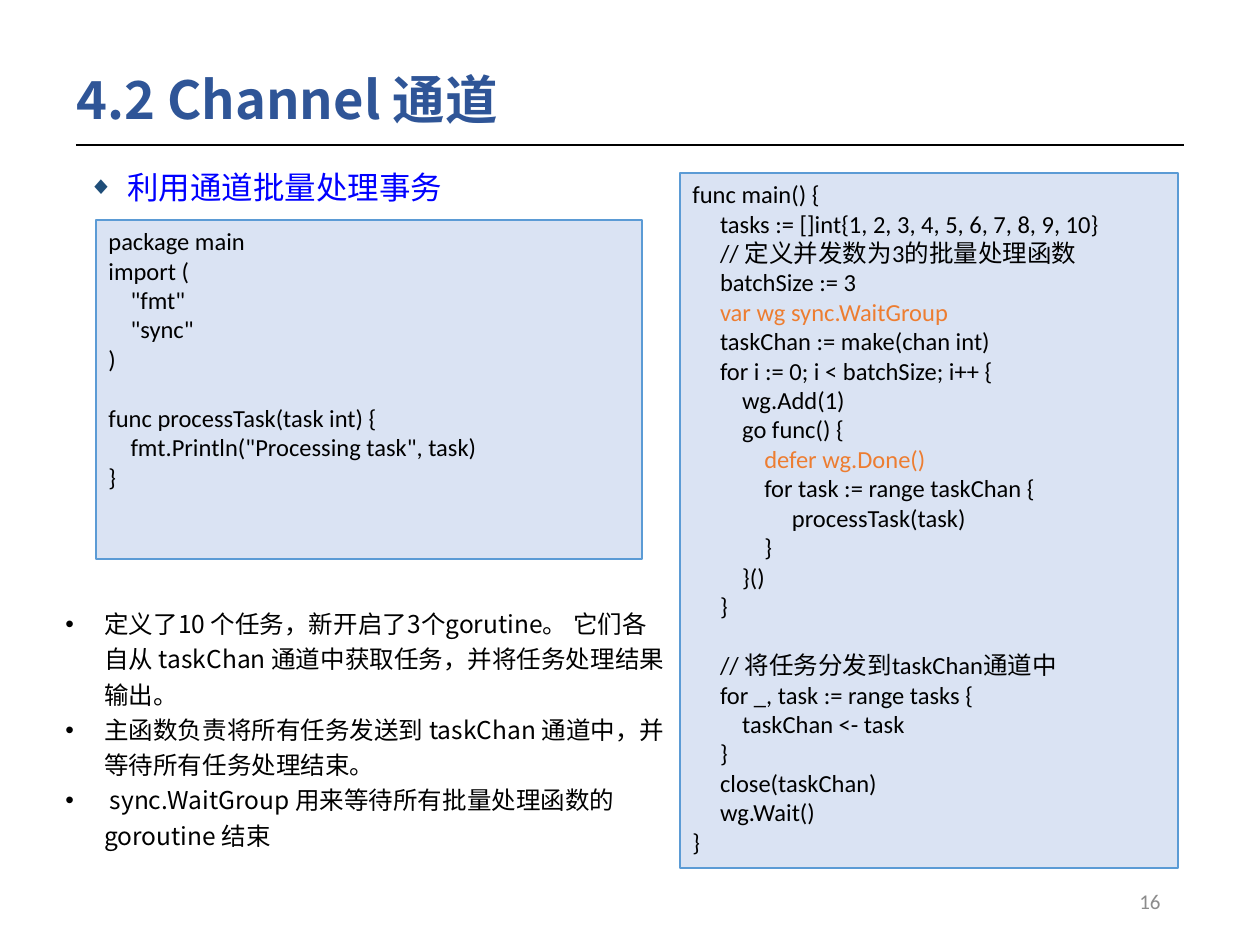
"""Builds the slide on processing tasks in batches through a Go channel."""
from dataclasses import dataclass

from lxml.etree import SubElement
from pptx import Presentation
from pptx.dml.color import RGBColor
from pptx.enum.shapes import MSO_CONNECTOR as CONNECTOR, MSO_SHAPE as SHAPE
from pptx.enum.text import MSO_ANCHOR as ANCHOR, PP_ALIGN as ALIGN
from pptx.oxml.ns import qn
from pptx.slide import Slide
from pptx.util import Emu, Pt

NAVY = RGBColor(0x2F, 0x55, 0x97)
BULLET_BLUE = RGBColor(0x1F, 0x4E, 0x79)
BLUE = RGBColor(0x00, 0x00, 0xFF)
PALE = RGBColor(0xDA, 0xE3, 0xF3)
BORDER = RGBColor(0x5B, 0x9B, 0xD5)
ORANGE = RGBColor(0xED, 0x7D, 0x31)
GRAY = RGBColor(0x8C, 0x8C, 0x8C)
BLACK = RGBColor(0x00, 0x00, 0x00)

PACKAGE_CODE = """\
package main
import (
    "fmt"
    "sync"
)

func processTask(task int) {
    fmt.Println("Processing task", task)
}"""

MAIN_CODE = """\
func main() {
     tasks := []int{1, 2, 3, 4, 5, 6, 7, 8, 9, 10}
     // 定义并发数为3的批量处理函数
     batchSize := 3
     var wg sync.WaitGroup
     taskChan := make(chan int)
     for i := 0; i < batchSize; i++ {
         wg.Add(1)
         go func() {
             defer wg.Done()
             for task := range taskChan {
                  processTask(task)
             }
         }()
     }

     // 将任务分发到taskChan通道中
     for _, task := range tasks {
         taskChan <- task
     }
     close(taskChan)
     wg.Wait()
}"""

HIGHLIGHTS = ("var wg sync.WaitGroup", "defer wg.Done()")

NOTES = (
    "定义了10 个任务，新开启了3个gorutine。 它们各自从 taskChan 通道中获取任务，并将任务处理结果输出。",
    "主函数负责将所有任务发送到 taskChan 通道中，并等待所有任务处理结束。",
    " sync.WaitGroup 用来等待所有批量处理函数的 goroutine 结束",
)


def px(n):
    return Emu(round(n * 914400 / 126))


@dataclass
class SlideBuilder:
    """Holds the style and the slide being drawn."""
    slide: Slide
    latin: str = "Calibri"
    cjk: str = "Noto Sans CJK SC"
    code_size: int = 14
    code_space: float = 3.16
    code_line: float = 17
    hanging: int = 39

    def style(self, p, size, color, name, bold=False):
        font = p.font
        font.size, font.bold, font.name = Pt(size), bold, name
        font.color.rgb = color
        props = p._p.get_or_add_pPr().find(qn("a:defRPr"))
        SubElement(props, qn("a:ea")).set("typeface", self.cjk)

    def frame(self, box, anchor=ANCHOR.TOP):
        tf = self.slide.shapes.add_textbox(*map(px, box)).text_frame
        tf.word_wrap = True
        tf.vertical_anchor = anchor
        return tf

    def label(self, box, text, size, color, name, bold=False,
              align=ALIGN.LEFT, spacing=1.0):
        p = self.frame(box, ANCHOR.MIDDLE).paragraphs[0]
        p.text, p.alignment, p.line_spacing = text, align, spacing
        self.style(p, size, color, name, bold)

    def bullets(self, box, items, size, color, mark, mark_color=None,
                mark_percent=100, before=0):
        tf = self.frame(box)
        for i, item in enumerate(items):
            p = tf.add_paragraph() if i else tf.paragraphs[0]
            p.text, p.line_spacing, p.space_before = item, 1.2, Pt(before)
            props = p._p.get_or_add_pPr()
            props.set("marL", str(px(self.hanging)))
            props.set("indent", str(-px(self.hanging)))
            fill = SubElement(props, qn("a:buClr"))
            SubElement(fill, qn("a:srgbClr")).set("val", str(mark_color or color))
            SubElement(props, qn("a:buSzPct")).set("val", str(mark_percent * 1000))
            SubElement(props, qn("a:buFont")).set("typeface", "Arial")
            SubElement(props, qn("a:buChar")).set("char", mark)
            self.style(p, size, color, self.cjk)

    def code(self, box, source):
        sp = self.slide.shapes.add_shape(SHAPE.RECTANGLE, *map(px, box))
        sp.shadow.inherit = False
        sp.fill.solid()
        sp.fill.fore_color.rgb = PALE
        sp.line.color.rgb = BORDER
        sp.line.width = Pt(0.75)
        tf = sp.text_frame
        tf.word_wrap = True
        tf.vertical_anchor = ANCHOR.TOP
        p, gap = tf.paragraphs[0], 0
        for i, line in enumerate(source.splitlines()):
            text = line.lstrip()
            if not text:
                gap += self.code_line
                continue
            p = tf.add_paragraph() if i else p
            p.text, p.alignment, p.space_before = text, ALIGN.LEFT, Pt(gap)
            depth = len(line) - len(text)
            props = p._p.get_or_add_pPr()
            props.set("marL", str(Pt(depth * self.code_space)))
            props.set("indent", "0")
            color = ORANGE if text in HIGHLIGHTS else BLACK
            self.style(p, self.code_size, color, self.latin)
            gap = 0

    def rule(self, x1, x2, y):
        line = self.slide.shapes.add_connector(
            CONNECTOR.STRAIGHT, px(x1), px(y), px(x2), px(y))
        line.line.color.rgb = BLACK
        line.line.width = Pt(1.5)
        SubElement(line._element.spPr, qn("a:effectLst"))


def main():
    prs = Presentation()
    prs.slide_width, prs.slide_height = px(1260), px(945)
    s = SlideBuilder(prs.slides.add_slide(prs.slide_layouts[6]))
    s.label((64, 60, 1086, 84), "4.2 Channel 通道", 30, NAVY, s.cjk,
            bold=True, spacing=0.9)
    s.label((890, 876, 283, 50), "16", 12, GRAY, s.latin, align=ALIGN.RIGHT)
    s.rule(76, 1184, 145)
    s.bullets((76, 154, 1131, 723), ["利用通道批量处理事务"], 18, BLUE,
              "◆", BULLET_BLUE, 80, before=10)
    s.code((96, 220, 546, 339), PACKAGE_CODE)
    s.code((680, 173, 498, 695), MAIN_CODE)
    s.bullets((53, 597, 630, 295), NOTES, 14, BLACK, "•")
    prs.save("out.pptx")


if __name__ == "__main__":
    main()
